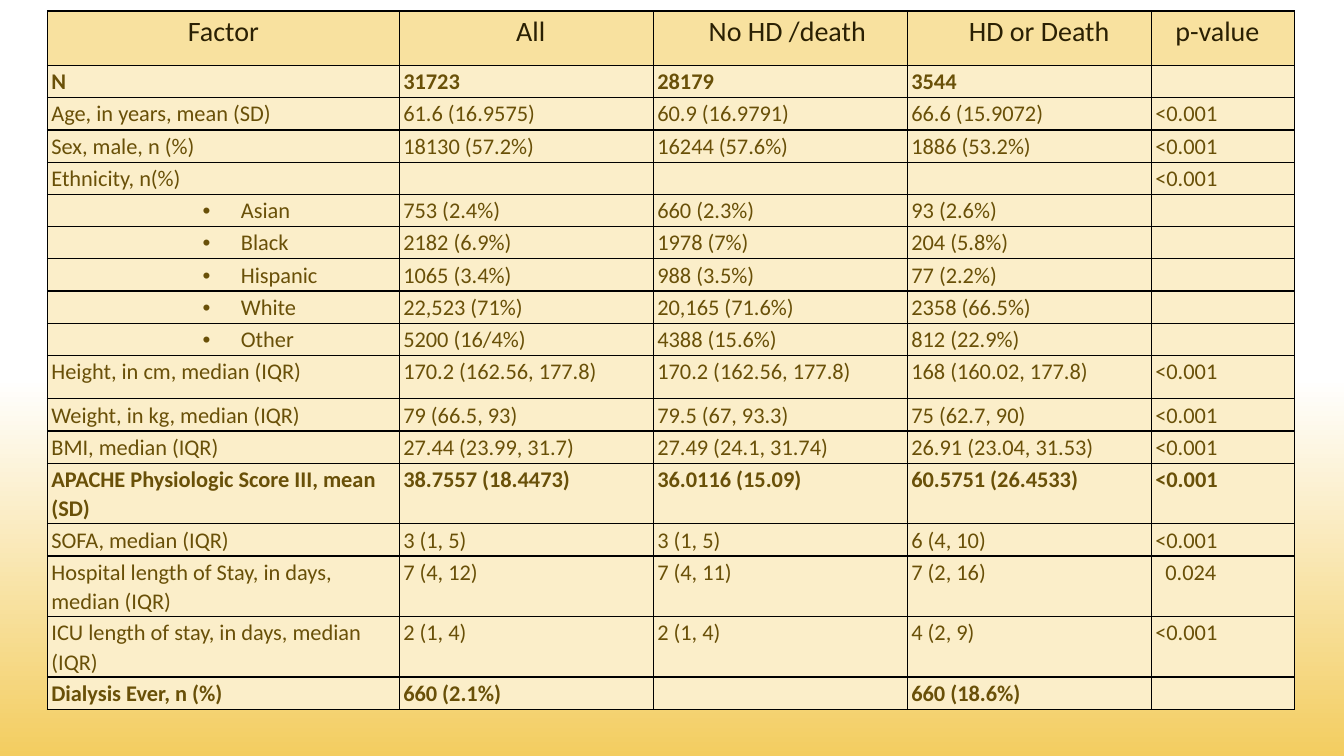
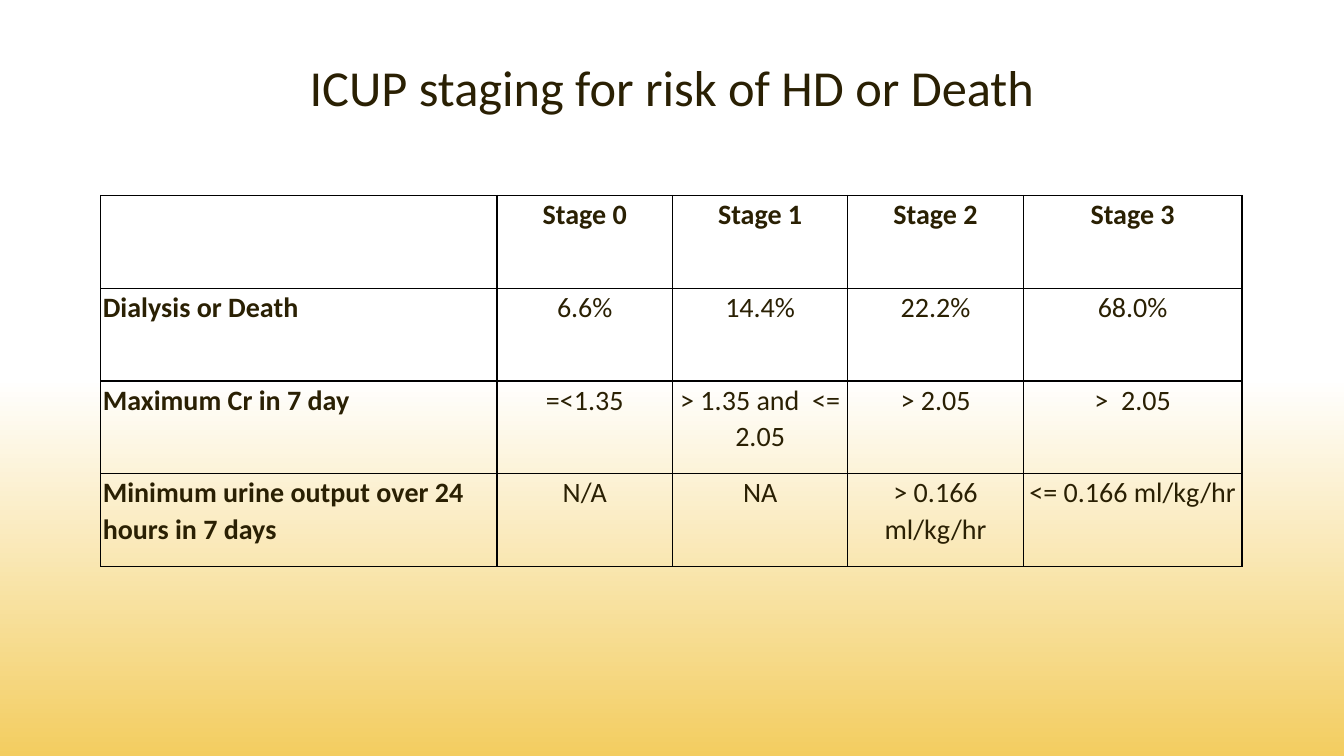
from lxml import etree
from pptx import Presentation
from pptx.dml.color import RGBColor
from pptx.enum import shapes, text
from pptx.oxml.ns import qn
from pptx.util import Inches, Pt

FONT = "Calibri"
WHITE, GOLD, BLACK = "FFFFFF", "F3CD60", "000000"
DARK, BROWN = "2A2003", "695008"
HEAD_FILL, BODY_FILL = "F8E19F", "FBEEC9"
LEFT, CENTER = text.PP_ALIGN.LEFT, text.PP_ALIGN.CENTER

# Slide 1 content
FACTORS = [
    ("Factor", "All", "No HD /death", "HD or Death", "p-value"),
    ("N", "31723", "28179", "3544", ""),
    ("Age, in years, mean (SD)", "61.6 (16.9575)", "60.9 (16.9791)", "66.6 (15.9072)", "<0.001"),
    ("Sex, male, n (%)", "18130 (57.2%)", "16244 (57.6%)", "1886 (53.2%)", "<0.001"),
    ("Ethnicity, n(%)", "", "", "", "<0.001"),
    ("Asian", "753 (2.4%)", "660 (2.3%)", "93 (2.6%)", ""),
    ("Black", "2182 (6.9%)", "1978 (7%)", "204 (5.8%)", ""),
    ("Hispanic", "1065 (3.4%)", "988 (3.5%)", "77 (2.2%)", ""),
    ("White", "22,523 (71%)", "20,165 (71.6%)", "2358 (66.5%)", ""),
    ("Other", "5200 (16/4%)", "4388 (15.6%)", "812 (22.9%)", ""),
    ("Height, in cm, median (IQR)", "170.2 (162.56, 177.8)", "170.2 (162.56, 177.8)",
     "168 (160.02, 177.8)", "<0.001"),
    ("Weight, in kg, median (IQR)", "79 (66.5, 93)", "79.5 (67, 93.3)", "75 (62.7, 90)", "<0.001"),
    ("BMI, median (IQR)", "27.44 (23.99, 31.7)", "27.49 (24.1, 31.74)",
     "26.91 (23.04, 31.53)", "<0.001"),
    ("APACHE Physiologic Score III, mean (SD)", "38.7557 (18.4473)", "36.0116 (15.09)",
     "60.5751 (26.4533)", "<0.001"),
    ("SOFA, median (IQR)", "3 (1, 5)", "3 (1, 5)", "6 (4, 10)", "<0.001"),
    ("Hospital length of Stay, in days, median (IQR)", "7 (4, 12)", "7 (4, 11)",
     "7 (2, 16)", "0.024"),
    ("ICU length of stay, in days, median (IQR)", "2 (1, 4)", "2 (1, 4)", "4 (2, 9)", "<0.001"),
    ("Dialysis Ever, n (%)", "660 (2.1%)", "", "660 (18.6%)", ""),
]
FACTOR_COLS = [3.49, 2.52, 2.52, 2.42, 1.42]
ROW_HEIGHTS = {0: 0.54, 10: 0.43, 13: 0.6, 15: 0.6, 16: 0.6}
BOLD_ROWS = {1, 13, 17}
ETHNIC_ROWS = range(5, 10)
INDENTS = {(0, 1): 1.12, (0, 2): 0.51, (0, 3): 0.57, (0, 4): 0.2, (15, 4): 0.1}

# Slide 2 content
STAGING_TITLE = "ICUP staging for risk of HD or Death"
STAGES = [
    ("", "Stage 0", "Stage 1", "Stage 2", "Stage 3"),
    ("Dialysis or Death", "6.6%", "14.4%", "22.2%", "68.0%"),
    ("Maximum Cr in 7 day", "=<1.35", "> 1.35 and  <= 2.05", "> 2.05", ">  2.05"),
    ("Minimum urine output over 24 hours in 7 days", "N/A", "NA",
     "> 0.166 ml/kg/hr", "<= 0.166 ml/kg/hr"),
]
STAGE_COLS = [3.93, 1.74, 1.74, 1.74, 2.17]


def rgb(value):
    return RGBColor.from_string(value)


def style_run(r, size, color, bold=False):
    r.font.name, r.font.size, r.font.bold = FONT, Pt(size), bold
    r.font.color.rgb = rgb(color)


def add_slide(prs, right_block):
    """Blank slide with the gold gradient and white top corners."""
    s = prs.slides.add_slide(prs.slide_layouts[6])
    fill = s.background.fill
    fill.gradient()
    fill.gradient_angle = 270
    for stop, color, position in zip(fill.gradient_stops, (WHITE, GOLD), (0.5, 1)):
        stop.color.rgb = rgb(color)
        stop.position = position
    for left in (0, right_block):
        sp = s.shapes.add_shape(shapes.MSO_SHAPE.RECTANGLE, Inches(left), 0,
                                Inches(2.97), Inches(1.78))
        sp.shadow.inherit = False
        sp.fill.solid()
        sp.fill.fore_color.rgb = rgb(WHITE)
        sp.line.fill.background()
    return s


def add_grid(s, left, top, cols, heights):
    """Unbanded table with the given column widths and row heights."""
    table = s.shapes.add_table(len(heights), len(cols), Inches(left), Inches(top),
                               Inches(sum(cols)), Inches(sum(heights))).table
    table.first_row = table.horz_banding = False
    for column, width in zip(table.columns, cols):
        column.width = Inches(width)
    for row, height in zip(table.rows, heights):
        row.height = Inches(height)
    return table


def fill_cell(cell, words, size, color, bold, align, inset, top_inset=0, fill=None):
    """Border, fill and text of one cell; returns its paragraph."""
    cell.margin_left = cell.margin_right = Inches(inset)
    cell.margin_top, cell.margin_bottom = Inches(top_inset), 0
    tc_pr = cell._tc.get_or_add_tcPr()
    for side in ("a:lnL", "a:lnR", "a:lnT", "a:lnB"):
        ln = etree.SubElement(tc_pr, qn(side), w=str(Pt(1)))
        solid = etree.SubElement(ln, qn("a:solidFill"))
        etree.SubElement(solid, qn("a:srgbClr"), val=BLACK)
    if fill:
        cell.fill.solid()
        cell.fill.fore_color.rgb = rgb(fill)
    else:
        cell.fill.background()
    p = cell.text_frame.paragraphs[0]
    p.text = words
    p.alignment, p.line_spacing, p.space_after = align, 1.07, Pt(8)
    for r in p.runs:
        style_run(r, size, color, bold)
    if not words:
        etree.SubElement(p._p, qn("a:endParaRPr"), sz=str(size * 100))
    return p


def indent(p, left, hanging=0, bullet=None):
    p_pr = p._p.get_or_add_pPr()
    p_pr.set("marL", str(Inches(left)))
    p_pr.set("indent", str(Inches(-hanging)))
    if bullet:
        etree.SubElement(p_pr, qn("a:buFont"), typeface="Arial")
        etree.SubElement(p_pr, qn("a:buChar"), char=bullet)


def factor_slide(prs):
    s = add_slide(prs, 10.37)
    heights = [ROW_HEIGHTS.get(i, 0.32) for i in range(len(FACTORS))]
    table = add_grid(s, 0.47, 0.11, FACTOR_COLS, heights)
    for i, row in enumerate(FACTORS):
        size, color, fill = (16, BROWN, BODY_FILL) if i else (20, DARK, HEAD_FILL)
        for j, words in enumerate(row):
            align = CENTER if i == j == 0 else LEFT
            p = fill_cell(table.cell(i, j), words, size, color, i in BOLD_ROWS,
                          align, 0.04, 0.01, fill)
            if j == 0 and i in ETHNIC_ROWS:
                indent(p, 1.88, 0.38, "•")
            elif (i, j) in INDENTS:
                indent(p, INDENTS[i, j])


def staging_slide(prs):
    s = add_slide(prs, 10.15)
    # Title
    tf = s.shapes.add_textbox(Inches(1), Inches(0.02), Inches(11.33), Inches(1.75)).text_frame
    tf.word_wrap = True
    tf.vertical_anchor = text.MSO_ANCHOR.MIDDLE
    p = tf.paragraphs[0]
    p.text = STAGING_TITLE
    p.alignment, p.line_spacing = CENTER, 0.9
    style_run(p.runs[0], 36, DARK)
    # Stages
    table = add_grid(s, 1, 1.94, STAGE_COLS, [0.92] * len(STAGES))
    for i, row in enumerate(STAGES):
        for j, words in enumerate(row):
            fill_cell(table.cell(i, j), words, 20, DARK, i == 0 or j == 0,
                      CENTER if j else LEFT, 0.02)


def main():
    prs = Presentation()
    prs.slide_width, prs.slide_height = Inches(13.33), Inches(7.5)
    factor_slide(prs)
    staging_slide(prs)
    prs.save("out.pptx")


if __name__ == "__main__":
    main()
